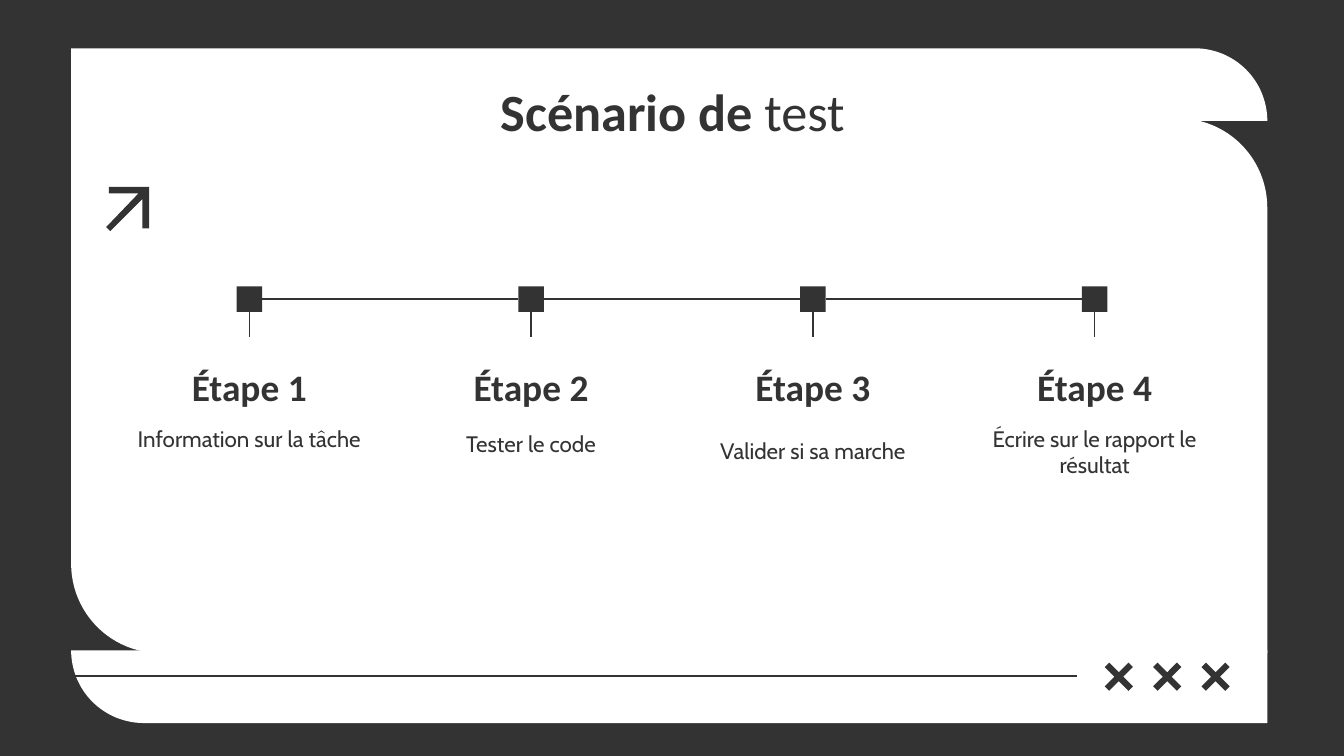
from dataclasses import dataclass
from math import cos, pi, sin

from lxml import etree
from pptx import Presentation
from pptx.dml.color import RGBColor
from pptx.enum.shapes import MSO_CONNECTOR, MSO_SHAPE
from pptx.enum.text import MSO_ANCHOR, PP_ALIGN
from pptx.oxml.ns import qn
from pptx.util import Inches, Pt

RECTANGLE = MSO_SHAPE.RECTANGLE
CROSS = MSO_SHAPE.CROSS
DIAGONAL_ROUND = MSO_SHAPE.ROUND_2_DIAG_RECTANGLE
STRAIGHT = MSO_CONNECTOR.STRAIGHT
TOP, BOTTOM = MSO_ANCHOR.TOP, MSO_ANCHOR.BOTTOM
CENTER = PP_ALIGN.CENTER


@dataclass(frozen=True)
class Theme:
    dark: RGBColor = RGBColor(0x33, 0x33, 0x33)
    light: RGBColor = RGBColor(0xFF, 0xFF, 0xFF)
    heading_font: str = "Calibri"
    body_font: str = "Cabin"
    title_size: int = 28
    step_size: int = 20
    body_size: int = 12
    line_width: float = 0.75


class SlideBuilder:
    def __init__(self, slide, theme):
        self.slide = slide
        self.theme = theme

    def background(self, color):
        fill = self.slide.background.fill
        fill.solid()
        fill.fore_color.rgb = color

    def paint(self, shape, color):
        shape.shadow.inherit = False
        shape.fill.solid()
        shape.fill.fore_color.rgb = color
        shape.line.fill.background()

    def shape(self, kind, left, top, width, height, color, adjustments=()):
        shape = self.slide.shapes.add_shape(
            kind, Inches(left), Inches(top), Inches(width), Inches(height))
        for index, value in enumerate(adjustments):
            shape.adjustments[index] = value
        self.paint(shape, color)
        return shape

    def outline(self, points, color):
        corners = [(Inches(x), Inches(y)) for x, y in points]
        builder = self.slide.shapes.build_freeform(*corners[0])
        builder.add_line_segments(corners[1:], close=True)
        self.paint(builder.convert_to_shape(), color)

    def line(self, start_x, start_y, end_x, end_y):
        connector = self.slide.shapes.add_connector(
            STRAIGHT, Inches(start_x), Inches(start_y), Inches(end_x), Inches(end_y))
        connector.line.color.rgb = self.theme.dark
        connector.line.width = Pt(self.theme.line_width)
        etree.SubElement(connector._element.spPr, qn("a:effectLst"))

    def text(self, runs, left, top, width, height, font, size, anchor=TOP):
        """Add centred text; runs holds (wording, bold) pairs."""
        box = self.slide.shapes.add_textbox(
            Inches(left), Inches(top), Inches(width), Inches(height))
        frame = box.text_frame
        frame.word_wrap = True
        frame.vertical_anchor = anchor
        frame.margin_left = frame.margin_right = Inches(0.1)
        frame.margin_top = frame.margin_bottom = Inches(0.1)
        paragraph = frame.paragraphs[0]
        paragraph.alignment = CENTER
        for wording, bold in runs:
            run = paragraph.add_run()
            run.text = wording
            run.font.name = font
            run.font.size = Pt(size)
            run.font.bold = bold
            run.font.color.rgb = self.theme.dark


def arc(center_x, center_y, radius, start, end, segments=32):
    """Points on a circle from one angle to another, in radians."""
    angles = [start + (end - start) * i / segments for i in range(segments + 1)]
    return [(center_x + radius * cos(a), center_y + radius * sin(a)) for a in angles]


def main():
    presentation = Presentation()
    presentation.slide_width = Inches(10)
    presentation.slide_height = Inches(10 * 9 / 16)
    slide = presentation.slides.add_slide(presentation.slide_layouts[6])
    theme = Theme()
    builder = SlideBuilder(slide, theme)
    builder.background(theme.dark)

    # White card with a folded strip above and below
    left, right, strip = 0.53, 9.43, 0.54
    top, bottom = 0.36, 5.38
    card = builder.shape(DIAGONAL_ROUND, left, 0.88, right - left, 3.98,
                         theme.light, (0.167, 0))
    card._element.spPr.xfrm.set("flipH", "1")
    builder.outline(
        [(left, top), (left, top + strip)]
        + arc(right - strip, top + strip, strip, 0, -pi / 2), theme.light)
    builder.outline(
        [(right, bottom), (right, bottom - strip)]
        + arc(left + strip, bottom - strip, strip, pi, pi / 2), theme.light)

    # Footer line and crosses
    builder.line(8.01, 5.03, 0.56, 5.03)
    for index in range(3):
        cross = builder.shape(CROSS, 8.2 + 0.36 * index, 4.91, 0.25, 0.25,
                              theme.dark, (0.407,))
        cross.rotation = 315

    # Title
    builder.text([("Scénario de ", True), ("test", False)], 0.79, 0.49, 8.43, 0.63,
                 theme.heading_font, theme.title_size)

    # Timeline: wording and top of each description
    steps = [
        ("Information sur la tâche", 3.06),
        ("Tester le code", 3.1),
        ("Valider si sa marche", 3.15),
        ("Écrire sur le rapport le résultat", 3.06),
    ]
    marker, marker_top, column = 0.19, 2.13, 2.14
    first_marker, last_marker = 1.76, 8.05
    pitch = (last_marker - first_marker) / (len(steps) - 1)
    axis = marker_top + marker / 2
    for index, (description, description_top) in enumerate(steps):
        marker_left = first_marker + pitch * index
        center = marker_left + marker / 2
        column_left = center - column / 2
        builder.shape(RECTANGLE, marker_left, marker_top, marker, marker, theme.dark)
        builder.line(center, marker_top + marker, center, 2.51)
        if index < len(steps) - 1:
            builder.line(marker_left + marker, axis, marker_left + pitch, axis)
        builder.text([(f"Étape {index + 1}", True)], column_left, 2.51, column, 0.63,
                     theme.heading_font, theme.step_size, BOTTOM)
        builder.text([(description, False)], column_left, description_top, column, 0.35,
                     theme.body_font, theme.body_size)

    # Corner arrow
    builder.outline(
        [(1.06, 1.7), (1.06, 1.48), (0.82, 1.72), (0.79, 1.69), (1.03, 1.44),
         (0.81, 1.44), (0.81, 1.39), (1.11, 1.39), (1.11, 1.7)], theme.dark)

    presentation.save("out.pptx")


if __name__ == "__main__":
    main()
